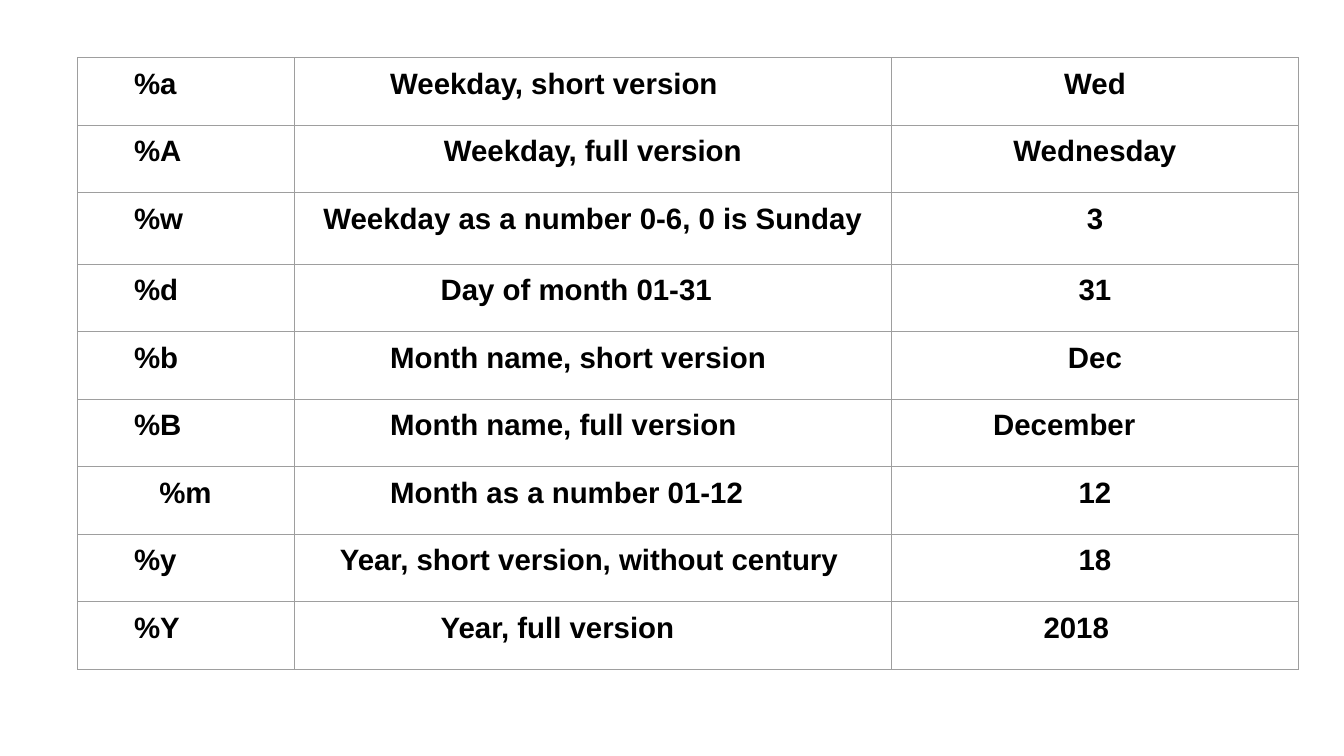
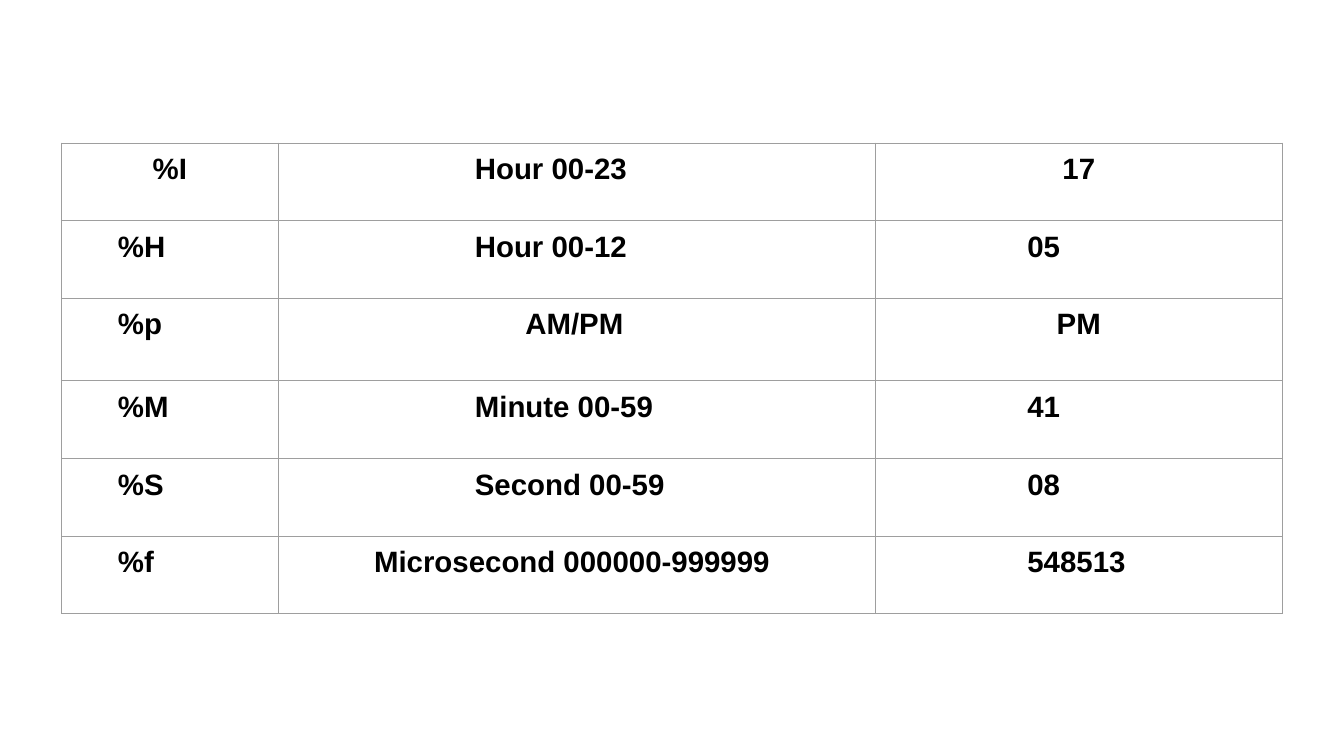
from typing import NamedTuple, Optional

import pptx
import pptx.dml.color
import pptx.enum.text
import pptx.oxml
import pptx.oxml.ns
import pptx.util

Inches, Pt = pptx.util.Inches, pptx.util.Pt
Align = pptx.enum.text.PP_ALIGN

COLORS = {"text": "000000", "rule": "9E9E9E"}
FONT, SIZE = "Arial", 21
WIDTHS = (2.15, 5.92, 4.04)
STARTS = (0.46, 0.35, 0.41)  # first indent stop of each column
STEP = 0.5
INSET = 0.1
TALL = 2  # index of the row that is a little taller


class Entry(NamedTuple):
    """Cell text, centred unless it sits on an indent stop."""
    text: str
    stop: Optional[float] = None


class Grid(NamedTuple):
    left: float
    top: float
    height: float
    tall: float
    rows: tuple[tuple[Entry, Entry, Entry], ...]


E = Entry
GRIDS = (
    Grid(0.77, 0.57, 0.67, 0.71, (
        (E("%a", 0), E("Weekday, short version", 1), E("Wed")),
        (E("%A", 0), E("Weekday, full version"), E("Wednesday")),
        (E("%w", 0), E("Weekday as a number 0-6, 0 is Sunday"), E("3")),
        (E("%d", 0), E("Day of month 01-31", 2), E("31")),
        (E("%b", 0), E("Month name, short version", 1), E("Dec")),
        (E("%B", 0), E("Month name, full version", 1), E("December", 1)),
        (E("%m", 0.5), E("Month as a number 01-12", 1), E("12")),
        (E("%y", 0), E("Year, short version, without century", 0), E("18")),
        (E("%Y", 0), E("Year, full version", 2), E("2018", 2)),
    )),
    Grid(0.61, 1.42, 0.77, 0.82, (
        (E("%I"), E("Hour 00-23", 3), E("17")),
        (E("%H", 0), E("Hour 00-12", 3), E("05", 2)),
        (E("%p", 0), E("AM/PM", 4), E("PM")),
        (E("%M", 0), E("Minute 00-59", 3), E("41", 2)),
        (E("%S", 0), E("Second 00-59", 3), E("08", 2)),
        (E("%f", 0), E("Microsecond 000000-999999", 1), E("548513", 2)),
    )),
)


def rule(cell) -> None:
    """Draw a thin line on all four sides of the cell."""
    props = cell._tc.get_or_add_tcPr()
    for spot, side in enumerate(("lnL", "lnR", "lnT", "lnB")):
        line = pptx.oxml.parse_xml(
            f'<a:{side} {pptx.oxml.ns.nsdecls("a")} w="{Pt(0.75)}">'
            f'<a:solidFill><a:srgbClr val="{COLORS["rule"]}"/></a:solidFill>'
            f'</a:{side}>')
        props.insert(spot, line)


def write(cell, entry: Entry, start: float) -> None:
    cell.margin_left = cell.margin_right = Inches(INSET)
    cell.margin_top = cell.margin_bottom = Inches(INSET)
    cell.fill.background()
    rule(cell)
    para = cell.text_frame.paragraphs[0]
    para.text = entry.text
    if entry.stop is None:
        para.alignment = Align.CENTER
    else:
        para.alignment = Align.LEFT
        indent = Inches(start + entry.stop * STEP)
        para._p.get_or_add_pPr().set("marL", str(indent))
    font = para.runs[0].font
    font.name, font.size, font.bold = FONT, Pt(SIZE), True
    font.color.rgb = pptx.dml.color.RGBColor.from_string(COLORS["text"])


def draw(slide, grid: Grid) -> None:
    count = len(grid.rows)
    total = grid.height * (count - 1) + grid.tall
    table = slide.shapes.add_table(
        count, len(WIDTHS), Inches(grid.left), Inches(grid.top),
        Inches(sum(WIDTHS)), Inches(total)).table
    table.first_row = table.horz_banding = False
    for column, width in zip(table.columns, WIDTHS):
        column.width = Inches(width)
    for index, (row, entries) in enumerate(zip(table.rows, grid.rows)):
        row.height = Inches(grid.tall if index == TALL else grid.height)
        for cell, entry, start in zip(row.cells, entries, STARTS):
            write(cell, entry, start)


def main() -> None:
    deck = pptx.Presentation()
    deck.slide_width, deck.slide_height = Inches(13.33), Inches(7.5)
    blank = deck.slide_layouts.get_by_name("Blank")
    for grid in GRIDS:
        draw(deck.slides.add_slide(blank), grid)
    deck.save("out.pptx")


if __name__ == "__main__":
    main()
